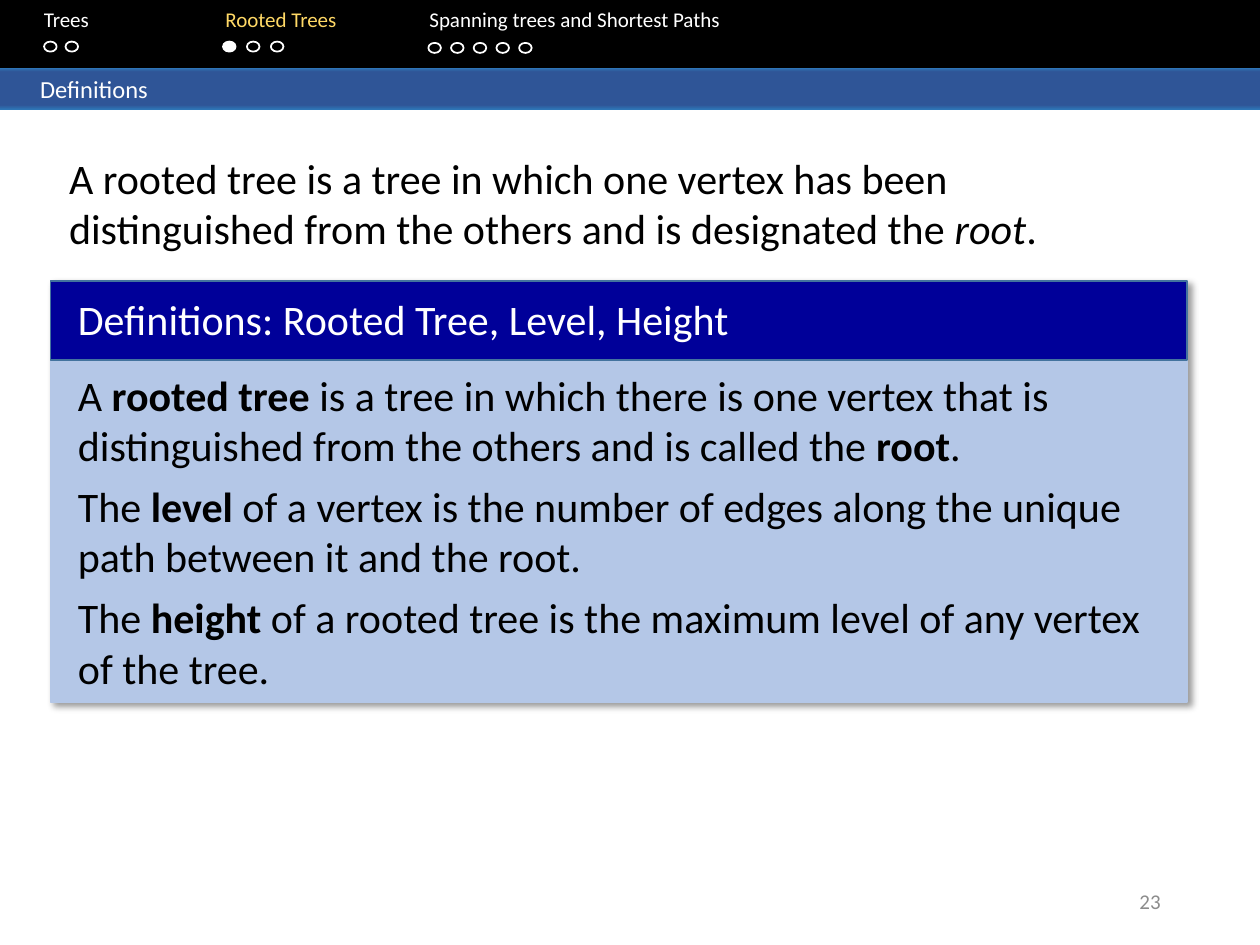
from dataclasses import dataclass

from lxml.etree import SubElement
from pptx import Presentation
from pptx.dml.color import RGBColor
from pptx.enum.shapes import MSO_SHAPE as Shape
from pptx.enum.text import MSO_ANCHOR as Anchor, MSO_AUTO_SIZE as AutoSize, PP_ALIGN as Align
from pptx.oxml.ns import qn
from pptx.util import Inches, Pt


@dataclass(frozen=True)
class Theme:
    font: str = "Calibri"
    white: str = "FFFFFF"
    black: str = "000000"
    current: str = "FFD966"
    muted: str = "8C8C8C"
    heading: str = "000099"
    heading_edge: str = "43739E"
    panel: str = "B4C7E7"
    bar_edge: str = "2E75B6"
    bar: str = "2F5597"
    small: int = 12
    section: int = 14
    body: int = 24
    outline: int = 1


THEME = Theme()
CELL = 0.1  # inches per grid column and row
COLUMNS, ROWS = 100, 75

BOLD = {"bold": True}
ITALIC = {"italic": True}

# title, colour, first dot's column, dot pitch, dot row, dot count, filled dot
SECTIONS = [
    ("Trees", THEME.white, 3.5, 1.7, 3.3, 2, None),
    ("Rooted Trees", THEME.current, 17.7, 1.9, 3.3, 3, 0),
    ("Spanning trees and Shortest Paths", THEME.white, 34, 1.8, 3.4, 5, None),
]
SECTION_TABS = (2.5, 16.9, 33.1)

INTRODUCTION = [[
    ("A rooted tree is a tree in which one vertex has been distinguished "
     "from the others and is designated the ", {}),
    ("root", ITALIC), (".", {}),
]]
DEFINITIONS = [
    [("A ", {}), ("rooted tree ", BOLD),
     ("is a tree in which there is one vertex that is distinguished "
      "from the others and is called the ", {}),
     ("root", BOLD), (".", {})],
    [("The ", {}), ("level", BOLD),
     (" of a vertex is the number of edges along the unique path "
      "between it and the root.", {})],
    [("The ", {}), ("height", BOLD),
     (" of a rooted tree is the maximum level of any vertex of the tree.", {})],
]


def cells(*counts):
    return [Inches(count * CELL) for count in counts]


def apply(target, values):
    for name, value in values.items():
        setattr(target, name, value)


class SlideBuilder:
    def __init__(self, presentation, theme):
        self.theme = theme
        self.slide = presentation.slides.add_slide(presentation.slide_layouts[6])
        self.shapes = self.slide.shapes

    def begin_group(self):
        """Send the elements that follow into a new group."""
        self.shapes = self.slide.shapes.add_group_shape().shapes

    def block(self, frame, fill=None, line=None, kind=Shape.RECTANGLE):
        shape = self.shapes.add_shape(kind, *cells(*frame))
        shape.shadow.inherit = False
        if fill:
            shape.fill.solid()
            shape.fill.fore_color.rgb = RGBColor.from_string(fill)
        else:
            shape.fill.background()
        if line:
            shape.line.color.rgb = RGBColor.from_string(line)
            shape.line.width = Pt(self.theme.outline)
        else:
            shape.line.fill.background()
        return shape

    def gradient(self, shape, stops):
        shape.fill.gradient()
        shape.fill.gradient_angle = 90
        stop_list = shape._element.spPr.find(".//" + qn("a:gsLst"))
        stop_list.clear()
        for percent, color in stops:
            stop = SubElement(stop_list, qn("a:gs"), pos=str(percent * 1000))
            SubElement(stop, qn("a:srgbClr"), val=color)

    def drop_shadow(self, shape):
        effects = shape._element.spPr.find(qn("a:effectLst"))
        shadow = SubElement(effects, qn("a:outerShdw"), blurRad=str(Pt(4)),
                            dist=str(Pt(3)), dir=str(45 * 60000), algn="tl")
        color = SubElement(shadow, qn("a:srgbClr"), val=self.theme.black)
        SubElement(color, qn("a:alpha"), val="40000")

    def text(self, frame, paragraphs, size, color, **options):
        box = self.shapes.add_textbox(*cells(*frame))
        self.fill_text(box, paragraphs, size, color, **options)

    def fill_text(self, shape, paragraphs, size, color, tabs=(),
                  frame_format=None, **paragraph_format):
        """Fill a shape with paragraphs, each a list of (text, font format)."""
        frame = shape.text_frame
        apply(frame, {"word_wrap": True, **(frame_format or {})})
        for index, runs in enumerate(paragraphs):
            paragraph = frame.add_paragraph() if index else frame.paragraphs[0]
            apply(paragraph, {"alignment": Align.LEFT, **paragraph_format})
            if tabs:
                tab_list = SubElement(paragraph._p.get_or_add_pPr(), qn("a:tabLst"))
                for position in cells(*tabs):
                    SubElement(tab_list, qn("a:tab"), pos=str(position), algn="l")
            for text, style in runs:
                run = paragraph.add_run()
                run.text = text
                style = {"name": self.theme.font, "size": Pt(size), **style}
                run.font.color.rgb = RGBColor.from_string(style.pop("color", color))
                apply(run.font, style)

    def dots(self, left, top, pitch, count, filled):
        for index in range(count):
            fill = self.theme.white if index == filled else None
            self.block((left + index * pitch, top, 1, 0.8), fill,
                       self.theme.white, Shape.OVAL)


def main():
    presentation = Presentation()
    presentation.slide_width, presentation.slide_height = cells(COLUMNS, ROWS)
    theme = THEME
    builder = SlideBuilder(presentation, theme)

    builder.block((0, -0.2, COLUMNS, 5.6), theme.black)
    titles = [("\t" + title, {"color": color}) for title, color, *_ in SECTIONS]
    builder.text((0, 0, COLUMNS, 5), [titles], theme.small, theme.white,
                 tabs=SECTION_TABS)
    for _, _, left, pitch, top, count, filled in SECTIONS:
        builder.dots(left, top, pitch, count, filled)

    section_bar = builder.block((0, 5.4, COLUMNS, 3.3))
    builder.gradient(section_bar, [(0, theme.bar_edge), (11, theme.bar),
                                   (91, theme.bar), (100, theme.bar_edge)])
    builder.fill_text(section_bar, [[("\tDefinitions", {})]], theme.section,
                      theme.white, tabs=(2.2,),
                      frame_format={"vertical_anchor": Anchor.MIDDLE})

    grow = {"auto_size": AutoSize.SHAPE_TO_FIT_TEXT}
    builder.text((4.5, 11.6, 89.1, 9.1), INTRODUCTION, theme.body, theme.black,
                 frame_format=grow)
    builder.text((70.6, 69.5, 22.5, 4), [[("23", {})]], theme.small, theme.muted,
                 frame_format={"vertical_anchor": Anchor.MIDDLE},
                 alignment=Align.RIGHT)

    builder.begin_group()
    panel = builder.block((4, 22.3, 90.2, 33.4), theme.panel, theme.panel)
    builder.drop_shadow(panel)
    builder.block((4, 22.3, 90.2, 6.3), theme.heading, theme.heading_edge)
    builder.text((5.2, 22.8, 85.3, 5),
                 [[("Definitions: Rooted Tree, Level, Height", {})]],
                 theme.body, theme.white, frame_format=grow)
    builder.text((5.2, 28.8, 89, 26.9), DEFINITIONS, theme.body, theme.black,
                 frame_format=grow, space_after=Pt(6))

    presentation.save("out.pptx")


if __name__ == "__main__":
    main()
